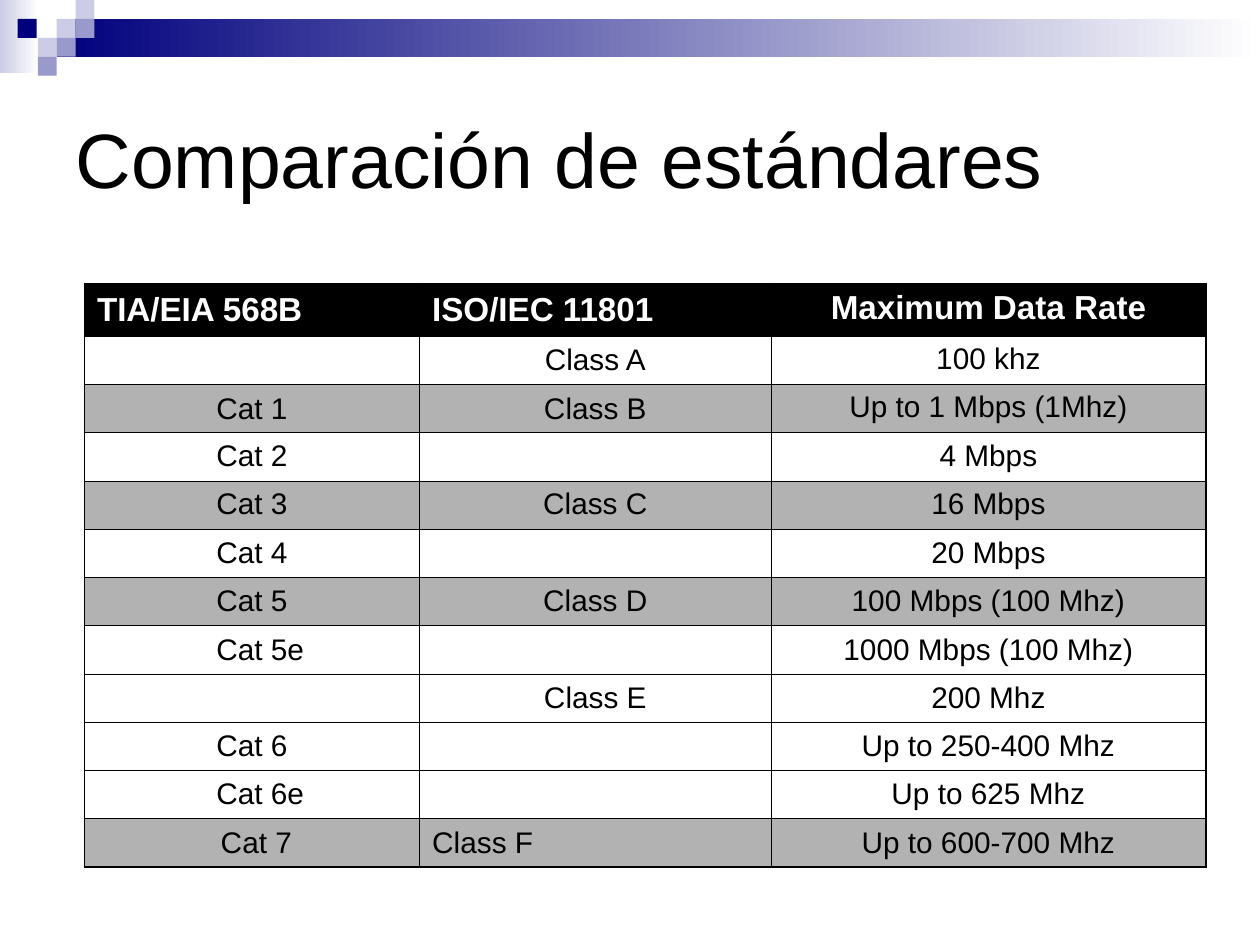
from lxml import etree
from pptx import Presentation
from pptx.dml.color import RGBColor
from pptx.enum.shapes import MSO_SHAPE
from pptx.enum.text import MSO_ANCHOR, PP_ALIGN
from pptx.oxml.ns import qn
from pptx.util import Inches, Pt

LEFT, CENTER = PP_ALIGN.LEFT, PP_ALIGN.CENTER
TOP, MIDDLE = MSO_ANCHOR.TOP, MSO_ANCHOR.MIDDLE
RECTANGLE = MSO_SHAPE.RECTANGLE

COLORS = {"white": "FFFFFF", "black": "000000", "band": "B2B2B2",
          "navy": "00007D", "lilac": "CCCCE6", "violet": "9999CC"}

TITLE = "Comparación de estándares"
HEADERS = ["TIA/EIA 568B", "ISO/IEC 11801", "Maximum Data Rate"]
STANDARDS = [
    ("", "Class A", "100 khz"),
    ("Cat 1", "Class B", "Up to 1 Mbps (1Mhz)"),
    ("Cat 2", "", "4 Mbps"),
    ("Cat 3", "Class C", "16 Mbps"),
    ("Cat 4", "", "20 Mbps"),
    ("Cat 5", "Class D", "100 Mbps (100 Mhz)"),
    ("Cat 5e", "", "1000 Mbps (100 Mhz)"),
    ("", "Class E", "200 Mhz"),
    ("Cat 6", "", "Up to 250-400 Mhz"),
    ("Cat 6e", "", "Up to 625 Mhz"),
    ("Cat 7", "Class F", "Up to 600-700 Mhz"),
]
ROWS = [HEADERS, *STANDARDS]
BANDED = {"Cat 1", "Cat 3", "Cat 5", "Cat 7"}
LEFT_ALIGNED = {"TIA/EIA 568B", "ISO/IEC 11801", "Class F"}
TOP_ANCHORED = {"Maximum Data Rate", "100 khz", "Up to 1 Mbps (1Mhz)", "Cat 2",
                "4 Mbps", "Cat 3", "Class C", "16 Mbps"}
INDENTS = {"Cat 5e": 0.13, "Cat 6e": 0.13, "Cat 7": 0.07}

TABLE_AT = (0.67, 2.25, 8.9, 4.63)
COLUMN_WIDTHS = [2.66, 2.79, 3.45]
HEADER_HEIGHT = 0.42
OUTER_LINE, INNER_LINE = 1.08, 0.45

FADES = [((0, 0, 0.31, 0.58), "lilac"), ((0.45, 0.15, 9.55, 0.3), "navy")]
SQUARE = 0.15
SQUARES = [(0.45, 0.15, "lilac"), (0.6, 0, "lilac"), (0.6, 0.15, "violet"),
           (0.3, 0.3, "lilac"), (0.14, 0.15, "navy"), (0.45, 0.3, "violet"),
           (0.3, 0.45, "violet")]


def rgb(color):
    return RGBColor.from_string(COLORS[color])


def write(frame, text, *, size, color="black", bold=False, align=LEFT):
    paragraph = frame.paragraphs[0]
    paragraph.alignment = align
    if text:
        run = paragraph.add_run()
        run.text = text
        run.font.name = "Arial"
        run.font.size = Pt(size)
        run.font.bold = bold
        run.font.color.rgb = rgb(color)


def add_block(slide, box):
    block = slide.shapes.add_shape(RECTANGLE, *map(Inches, box))
    block.shadow.inherit = False
    block.line.fill.background()
    return block


def add_decoration(slide):
    for box, color in FADES:
        fill = add_block(slide, box).fill
        fill.gradient()
        fill.gradient_angle = 180
        for stop, name in zip(fill.gradient_stops, ("white", color)):
            stop.color.rgb = rgb(name)
    for left, top, color in SQUARES:
        fill = add_block(slide, (left, top, SQUARE, SQUARE)).fill
        fill.solid()
        fill.fore_color.rgb = rgb(color)


def set_borders(cell, row, column):
    """Heavy lines on the table's outline, thin ones inside; call before filling the cell."""
    outer_sides = {"lnL": column == 0, "lnR": column == len(HEADERS) - 1,
                   "lnT": row == 0, "lnB": row == len(ROWS) - 1}
    properties = cell._tc.get_or_add_tcPr()
    for side, is_outer in outer_sides.items():
        width = Pt(OUTER_LINE if is_outer else INNER_LINE)
        line = etree.SubElement(properties, qn(f"a:{side}"), w=str(width))
        solid = etree.SubElement(line, qn("a:solidFill"))
        etree.SubElement(solid, qn("a:srgbClr"), val=COLORS["black"])


def add_standards_table(slide):
    table = slide.shapes.add_table(len(ROWS), len(HEADERS), *map(Inches, TABLE_AT)).table
    table.first_row = table.horz_banding = False
    for column, width in zip(table.columns, COLUMN_WIDTHS):
        column.width = Inches(width)
    body_height = (TABLE_AT[3] - HEADER_HEIGHT) / len(STANDARDS)

    for r, values in enumerate(ROWS):
        is_header = r == 0
        table.rows[r].height = Inches(HEADER_HEIGHT if is_header else body_height)
        background = "black" if is_header else "band" if values[0] in BANDED else "white"
        for c, text in enumerate(values):
            cell = table.cell(r, c)
            set_borders(cell, r, c)
            cell.fill.solid()
            cell.fill.fore_color.rgb = rgb(background)
            cell.vertical_anchor = TOP if text in TOP_ANCHORED else MIDDLE
            cell.margin_left = Inches(0.1 + INDENTS.get(text, 0))
            cell.margin_right = Inches(0.1)
            cell.margin_top = cell.margin_bottom = Inches(0.05 if text else 0)
            write(cell.text_frame, text, size=19 if is_header else 17, bold=is_header,
                  color="white" if is_header else "black",
                  align=LEFT if text in LEFT_ALIGNED else CENTER)


def main():
    presentation = Presentation()
    presentation.slide_width, presentation.slide_height = Inches(10), Inches(7.5)
    slide = presentation.slides.add_slide(presentation.slide_layouts[5])
    add_decoration(slide)

    title = slide.shapes.title
    title.left, title.top, title.width, title.height = map(Inches, (0.5, 0.47, 9, 1.57))
    title.text_frame.vertical_anchor = MIDDLE
    write(title.text_frame, TITLE, size=44)

    add_standards_table(slide)
    presentation.save("out.pptx")


if __name__ == "__main__":
    main()
